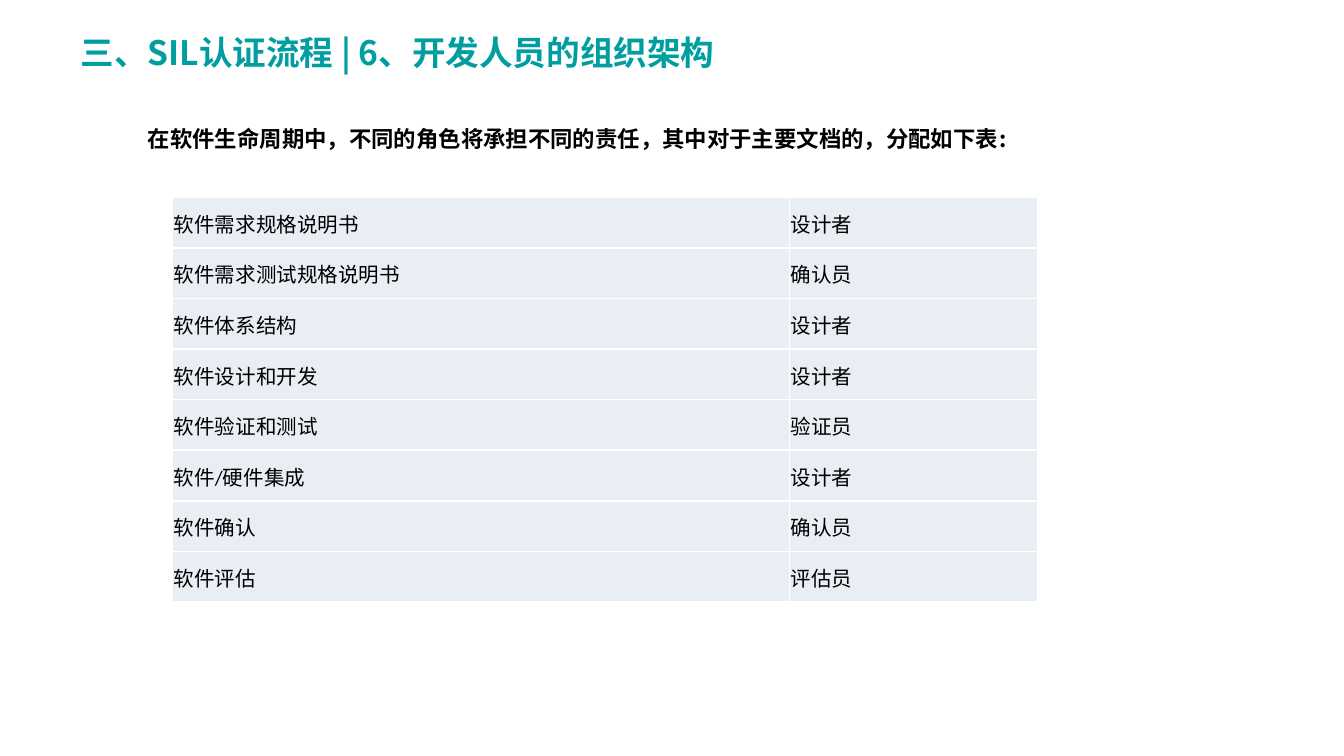
"""Build the slide on the document roles of software developers."""
from lxml.etree import SubElement
from pptx import Presentation
from pptx.dml.color import RGBColor
from pptx.enum.text import MSO_ANCHOR
from pptx.oxml.ns import qn
from pptx.util import Pt

TEAL = RGBColor(0x00, 0x9E, 0xA1)
BLACK = RGBColor(0x00, 0x00, 0x00)
WHITE = RGBColor(0xFF, 0xFF, 0xFF)
PALE_BLUE = RGBColor(0xE9, 0xED, 0xF4)
CJK_FONT = "Noto Sans CJK SC"
LATIN_FONT = "Calibri"

ROLES = [
    ("软件需求规格说明书", "设计者"),
    ("软件需求测试规格说明书", "确认员"),
    ("软件体系结构", "设计者"),
    ("软件设计和开发", "设计者"),
    ("软件验证和测试", "验证员"),
    ("软件/硬件集成", "设计者"),
    ("软件确认", "确认员"),
    ("软件评估", "评估员"),
]
COLUMN_WIDTHS = (330.5, 133.2)
ROW_HEIGHT = 27.1


def add_run(p, text, size, color, font=CJK_FONT, bold=False):
    r = p.add_run()
    r.text = text
    r.font.size = Pt(size)
    r.font.bold = bold
    r.font.name = font
    r.font.color.rgb = color
    SubElement(r.font._element, qn("a:ea"), typeface=CJK_FONT)


def add_text(slide, box, text, size, color, indent=0):
    sp = slide.shapes.add_textbox(*map(Pt, box))
    tf = sp.text_frame
    tf.word_wrap = True
    tf.vertical_anchor = MSO_ANCHOR.MIDDLE
    tf.margin_left = Pt(7.2 + indent)
    add_run(tf.paragraphs[0], text, size, color, bold=True)


def set_borders(cell, color, width):
    tc_pr = cell._tc.get_or_add_tcPr()
    for side in ("lnL", "lnR", "lnT", "lnB"):
        ln = SubElement(tc_pr, qn(f"a:{side}"), w=str(Pt(width)))
        fill = SubElement(ln, qn("a:solidFill"))
        SubElement(fill, qn("a:srgbClr"), val=str(color))


def fill_cell(cell, text):
    set_borders(cell, WHITE, 1)
    cell.fill.solid()
    cell.fill.fore_color.rgb = PALE_BLUE
    cell.vertical_anchor = MSO_ANCHOR.MIDDLE
    cell.margin_left = cell.margin_right = cell.margin_top = Pt(0.7)
    cell.margin_bottom = Pt(0)
    add_run(cell.text_frame.paragraphs[0], text, 11, BLACK, LATIN_FONT)


def add_role_table(slide, left, top):
    frame = slide.shapes.add_table(
        len(ROLES), len(COLUMN_WIDTHS), Pt(left), Pt(top),
        Pt(sum(COLUMN_WIDTHS)), Pt(ROW_HEIGHT * len(ROLES)))
    table = frame.table
    table.first_row = table.horz_banding = False
    for column, width in zip(table.columns, COLUMN_WIDTHS):
        column.width = Pt(width)
    for row, texts in zip(table.rows, ROLES):
        row.height = Pt(ROW_HEIGHT)
        for cell, text in zip(row.cells, texts):
            fill_cell(cell, text)


def main():
    prs = Presentation()
    prs.slide_width, prs.slide_height = Pt(720), Pt(405)
    slide = prs.slides.add_slide(prs.slide_layouts[6])
    add_text(slide, (36, 57.6, 648, 33.8),
             "在软件生命周期中，不同的角色将承担不同的责任，其中对于主要文档的，分配如下表:",
             12, BLACK, indent=36)
    add_role_table(slide, 92.4, 105.7)
    add_text(slide, (36, 13.7, 461.5, 28.8),
             "三、SIL认证流程 | 6、开发人员的组织架构", 18, TEAL)
    prs.save("out.pptx")


if __name__ == "__main__":
    main()
